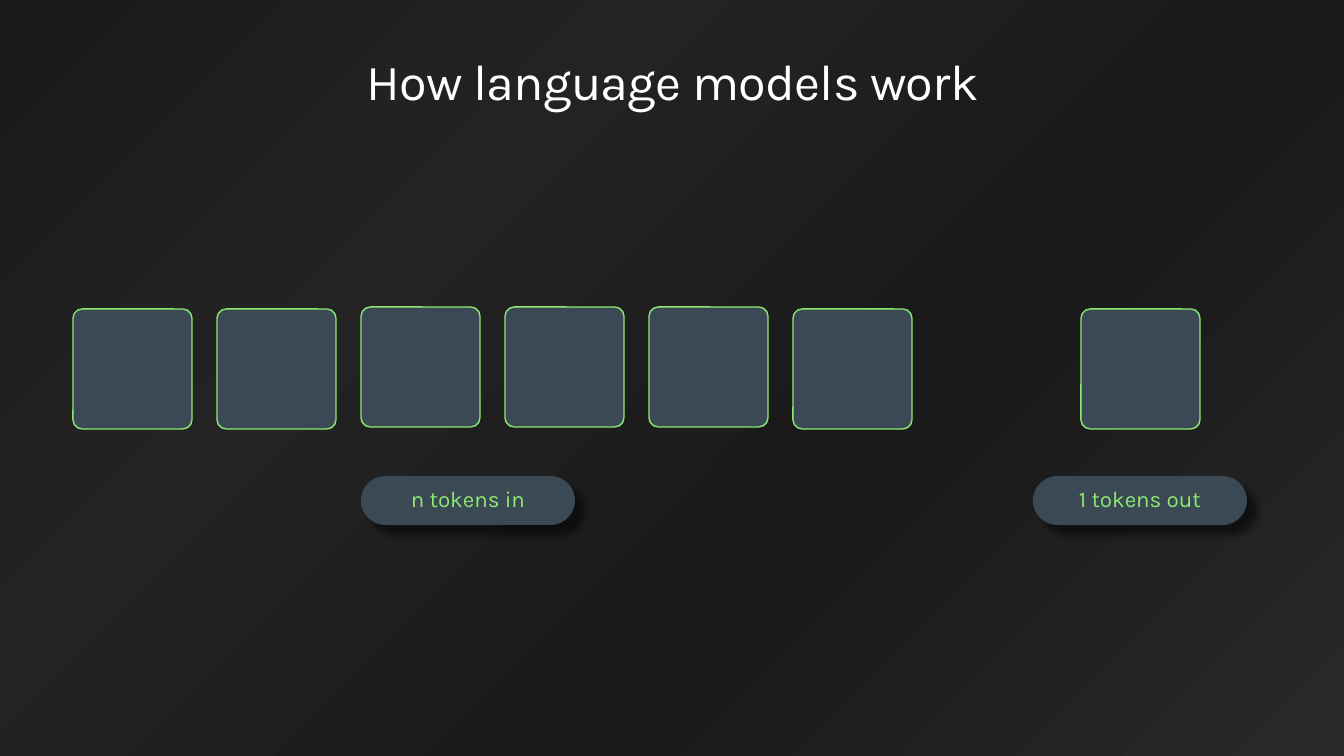
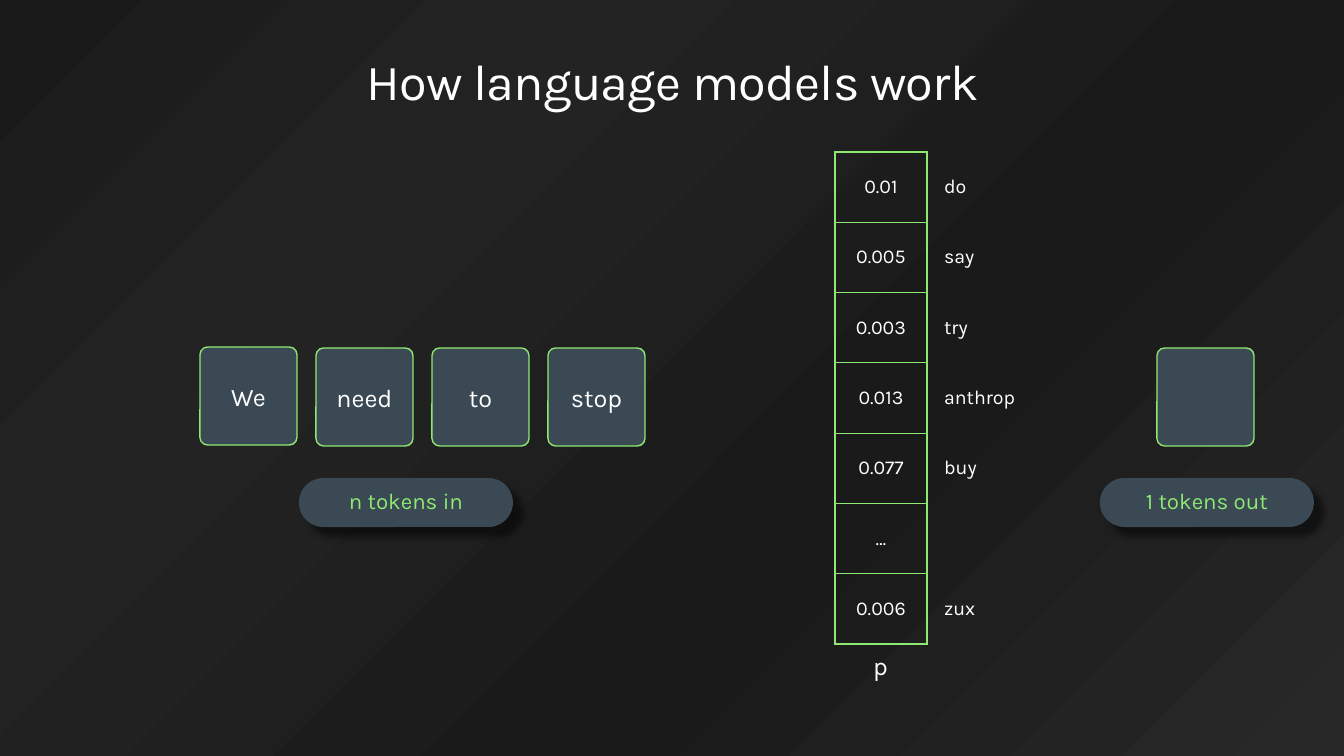
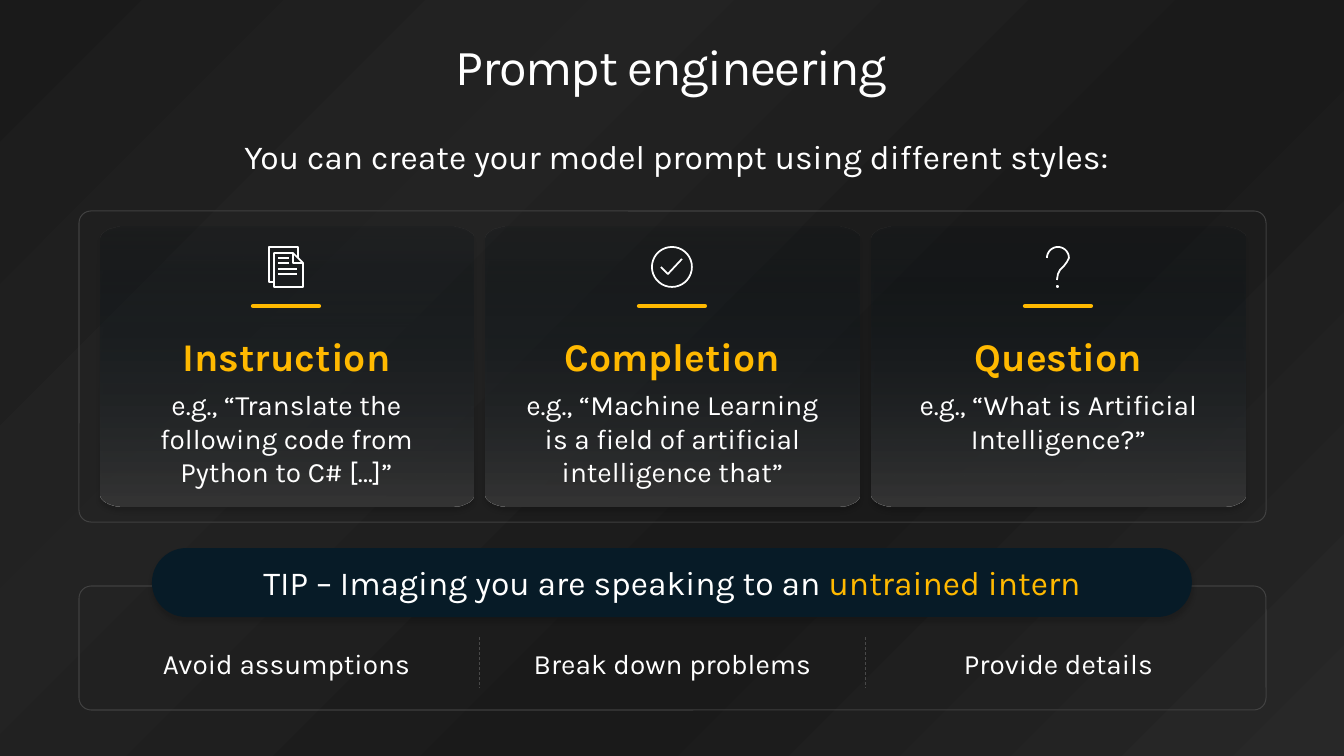
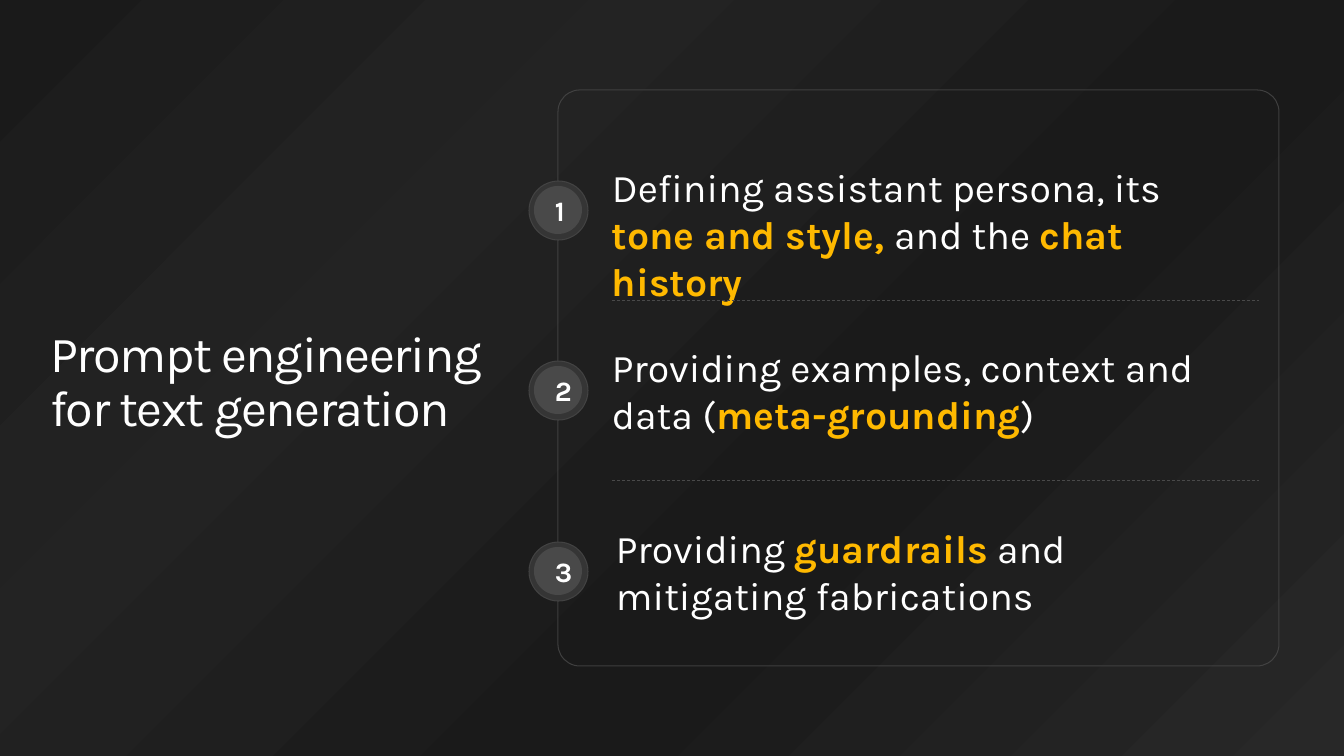
from copy import deepcopy
from math import cos, radians, sin

from lxml import etree
from pptx import Presentation
from pptx.dml.color import RGBColor
from pptx.enum.dml import MSO_LINE
from pptx.enum.shapes import MSO_CONNECTOR, MSO_SHAPE
from pptx.enum.text import MSO_ANCHOR, PP_ALIGN
from pptx.oxml import parse_xml
from pptx.oxml.ns import nsdecls, qn
from pptx.util import Emu, Pt

PX = 12192000 / 1344
ROUNDED, OVAL, LINE = MSO_SHAPE.ROUNDED_RECTANGLE, MSO_SHAPE.OVAL, MSO_CONNECTOR.STRAIGHT
SOLID, DASH = MSO_LINE.SOLID, MSO_LINE.DASH
TOP, MIDDLE = MSO_ANCHOR.TOP, MSO_ANCHOR.MIDDLE
LEFT, CENTER = PP_ALIGN.LEFT, PP_ALIGN.CENTER
TITLE_ONLY = 5


class Theme:
    font = "Karla"
    slate, green, navy = "3A4954", "8DE971", "071B27"
    white, amber, grey, charcoal = "FFFFFF", "FFB900", "494949", "353535"
    # Text looks: size, colour, bold
    title = (36, white, False)
    heading = (28, amber, True)
    point, point_key = (28, white, False), (28, amber, True)
    lead, lead_key = (24, white, False), (24, amber, False)
    body, number = (20, white, False), (20, white, True)
    token, pill, cell = (18, white, False), (16, green, False), (14, white, False)
    # Lines: colour, points, dash, opacity in percent
    token_edge = (green, 1, SOLID, 100)
    frame = (grey, 0.75, SOLID, 80)
    divider = (grey, 0.5, DASH, 100)
    icon = (white, 1.25, SOLID, 100)
    accent = (amber, 3, SOLID, 100)
    # Shadows: opacity in percent, blur and distance in points, direction
    pill_shadow, soft_shadow = (50, 5, 10, 45), (15, 3, 3, 90)
    # Gradients: angle, then position, colour and opacity of each stop
    backdrop = (45, [(0, "1A1A1A", 100), (27, "222222", 100), (28, "232323", 100),
                     (63, "1A1A1A", 100), (100, "282828", 100)])
    card = (90, [(0, "040F16", 10), (100, charcoal, 100)])


def place(slide, outline, box, fill=None, line=None, shadow=None, corner=None):
    """Add a text box (None), line, preset shape or list of contours, in px."""
    shapes = slide.shapes
    x, y, w, h = (Emu(round(n * PX)) for n in box)
    if outline is None:
        shape = shapes.add_textbox(x, y, w, h)
    elif outline == LINE:
        shape = shapes.add_connector(LINE, x, y, x + w, y + h)
    elif isinstance(outline, list):
        contours = [[(x + px * PX, y + py * PX) for px, py in c] for c in outline]
        builder = shapes.build_freeform(*contours[0][0])
        for first, *others in contours:
            builder.move_to(*first)
            builder.add_line_segments(others, close=False)
        shape = builder.convert_to_shape()
    else:
        shape = shapes.add_shape(outline, x, y, w, h)
    properties = shape._element.spPr

    if line:
        colour, width, dash, opacity = line
        shape.line.color.rgb = RGBColor.from_string(colour)
        shape.line.width = Pt(width)
        shape.line.dash_style = dash
        if opacity < 100:
            ink = properties.find(".//" + qn("a:ln") + "//" + qn("a:srgbClr"))
            etree.SubElement(ink, qn("a:alpha"), val=str(opacity * 1000))
    else:
        shape.line.fill.background()
    if outline == LINE:
        etree.SubElement(properties, qn("a:effectLst"))
        return shape

    if fill is None:
        shape.fill.background()
    elif isinstance(fill, str):
        shape.fill.solid()
        shape.fill.fore_color.rgb = RGBColor.from_string(fill)
    else:
        shape.fill.gradient()
        properties.replace(properties.find(qn("a:gradFill")), deepcopy(fill))
    if corner:
        shape.adjustments[0] = corner
    shape.shadow.inherit = False
    if shadow:
        opacity, blur, distance, direction = shadow
        properties.find(qn("a:effectLst")).append(parse_xml(
            f'<a:outerShdw {nsdecls("a")} blurRad="{Pt(blur)}" dist="{Pt(distance)}" '
            f'dir="{direction * 60000}" algn="ctr" rotWithShape="0"><a:srgbClr val="000000">'
            f'<a:alpha val="{opacity * 1000}"/></a:srgbClr></a:outerShdw>'))
    return shape


def write(frame, paragraphs, align=CENTER, anchor=TOP, inset=(0, 0), tracking=0, **layout):
    """Write paragraphs, each a list of (text, look) runs; inset is in px."""
    across, down = (Emu(round(n * PX)) for n in inset)
    settings = {"word_wrap": True, "vertical_anchor": anchor,
                "margin_left": across, "margin_right": across,
                "margin_top": down, "margin_bottom": down}
    for name, value in settings.items():
        setattr(frame, name, value)
    for index, runs in enumerate(paragraphs):
        paragraph = frame.add_paragraph() if index else frame.paragraphs[0]
        for name, value in {"alignment": align, **layout}.items():
            setattr(paragraph, name, value)
        for text, (size, colour, bold) in runs:
            run = paragraph.add_run()
            run.text = text
            for name, value in {"name": Theme.font, "size": Pt(size), "bold": bold}.items():
                setattr(run.font, name, value)
            run.font.color.rgb = RGBColor.from_string(colour)
            if tracking:
                run._r.get_or_add_rPr().set("spc", str(tracking))


# Gradients
gradients = {}
for name, (angle, stops) in {"backdrop": Theme.backdrop, "card": Theme.card}.items():
    marks = "".join(
        f'<a:gs pos="{at * 1000}"><a:srgbClr val="{colour}"><a:alpha val="{opacity * 1000}"/>'
        f'</a:srgbClr></a:gs>' for at, colour, opacity in stops)
    gradients[name] = parse_xml(
        f'<a:gradFill {nsdecls("a")} rotWithShape="1"><a:gsLst>{marks}</a:gsLst>'
        f'<a:lin ang="{angle * 60000}" scaled="0"/></a:gradFill>')

# Presentation and shared background
prs = Presentation()
prs.slide_width, prs.slide_height = Emu(round(1344 * PX)), Emu(round(756 * PX))
master = prs.slide_master
master.background.fill.gradient()
plain = master._element.find(".//" + qn("p:bgPr") + "/" + qn("a:gradFill"))
plain.getparent().replace(plain, gradients["backdrop"])

# Slides with their titles
MODEL_TITLE = ("How language models work", (65, 50, 1215, 61),
               {"tracking": -50, "line_spacing": 1.0})
titles = [
    MODEL_TITLE,
    MODEL_TITLE,
    ("Prompt engineering", (50, 32, 1243, 99),
     {"tracking": -100, "line_spacing": 0.9, "inset": (0, 10)}),
    ("Prompt engineering for text generation", (50, 32, 450, 702),
     {"tracking": -100, "line_spacing": 0.9, "inset": (0, 10),
      "align": LEFT, "anchor": MIDDLE}),
]
slides = []
for text, box, style in titles:
    slide = prs.slides.add_slide(prs.slide_layouts[TITLE_ONLY])
    title = slide.shapes.title
    for name, value in zip(("left", "top", "width", "height"), box):
        setattr(title, name, Emu(round(value * PX)))
    write(title.text_frame, [[(text, Theme.title)]], **style)
    slides.append(slide)
tokens_slide, odds_slide, styles_slide, steps_slide = slides

# Slides 1 and 2: tokens
tokens = [(tokens_slide, (73 + 144 * i, top, 119, 120), "")
          for i, top in enumerate((309, 309, 307, 307, 307, 309))]
tokens.append((tokens_slide, (1081, 309, 119, 120), ""))
tokens += [(odds_slide, (200 + 116 * i, 348 if i else 347, 97, 98), word)
           for i, word in enumerate(("We", "need", "to", "stop"))]
tokens.append((odds_slide, (1157, 348, 97, 98), ""))
for slide, box, word in tokens:
    token = place(slide, ROUNDED, box, Theme.slate, Theme.token_edge, corner=0.078)
    if word:
        write(token.text_frame, [[(word, Theme.token)]], anchor=MIDDLE, inset=(10, 5))

# Slides 1 and 2: pills under the tokens
for slide, left, top, text in [
    (tokens_slide, 361, 476, "n tokens in"),
    (tokens_slide, 1033, 476, "1 tokens out"),
    (odds_slide, 299, 478, "n tokens in"),
    (odds_slide, 1100, 478, "1 tokens out"),
]:
    pill = place(slide, ROUNDED, (left, top, 214, 49), Theme.slate,
                 shadow=Theme.pill_shadow, corner=0.5)
    write(pill.text_frame, [[(text, Theme.pill)]], anchor=MIDDLE, inset=(12, 0),
          line_spacing=0.9)

# Slide 2: probabilities and their words
odds = ["0.01", "0.005", "0.003", "0.013", "0.077", "…", "0.006"]
words = ["do", "say", "try", "anthrop", "buy", "", "zux"]
border = f'<a:solidFill><a:srgbClr val="{Theme.green}"/></a:solidFill>'
for left, entries, align, edge in [(835, odds, CENTER, border),
                                   (934, words, LEFT, "<a:noFill/>")]:
    table = odds_slide.shapes.add_table(
        len(entries), 1, *(Emu(round(n * PX)) for n in (left, 152, 92, 492))).table
    for name in ("first_row", "horz_banding"):
        setattr(table, name, False)
    for row, entry in enumerate(entries):
        cell = table.cell(row, 0)
        cell.fill.background()
        cell.vertical_anchor = MIDDLE
        if align == LEFT:
            cell.margin_right = 0
        for index, side in enumerate(("lnL", "lnR", "lnT", "lnB")):
            cell._tc.get_or_add_tcPr().insert(index, parse_xml(
                f'<a:{side} {nsdecls("a")} w="{Pt(1)}">{edge}</a:{side}>'))
        if entry:
            paragraph = cell.text_frame.paragraphs[0]
            paragraph.alignment = align
            run = paragraph.add_run()
            run.text = entry
            size, colour, bold = Theme.cell
            for name, value in {"name": Theme.font, "size": Pt(size), "bold": bold}.items():
                setattr(run.font, name, value)
            run.font.color.rgb = RGBColor.from_string(colour)
symbol = place(odds_slide, None, (863, 645, 35, 40))
write(symbol.text_frame, [[("p", Theme.token)]], inset=(10, 5))

# Slide 3: lead and frames
lead = place(styles_slide, None, (81, 136, 1191, 40))
write(lead.text_frame,
      [[("You can create your model prompt using different styles:", Theme.lead)]])
for box, corner in [((79, 586, 1187, 124), 0.098), ((79, 211, 1187, 311), 0.038)]:
    place(styles_slide, ROUNDED, box, line=Theme.frame, corner=corner)

# Slide 3: outlines of the cards and icons
CARD_W, CARD_H, CARD_STEP = 373, 280, 386
card_outline = []
for start, cx, cy in [(270, CARD_W - 24, 12), (0, CARD_W - 24, CARD_H - 12),
                      (90, 24, CARD_H - 12), (180, 24, 12)]:
    card_outline += [(cx + 24 * cos(radians(a)), cy + 12 * sin(radians(a)))
                     for a in range(start, start + 91, 10)]
card_outline.append(card_outline[0])
pages = [
    [(5, 35), (0, 35), (0, 0), (29, 0), (29, 11)],
    [(24, 6), (24, 16), (34, 16)],
    [(34, 16), (24, 6), (5, 6), (5, 40), (34, 40), (34, 16)],
    *([(9, y), (end, y)] for y, end in ((27, 28), (22, 28), (16, 20), (11, 20))),
]
check = [
    [(20 + 20 * cos(radians(a)), 20 + 20 * sin(radians(a))) for a in range(0, 361, 10)],
    [(9, 20), (16, 27), (30, 12)],
]
question = [
    [(11 + 11 * cos(radians(a)), 11 + 11 * sin(radians(a))) for a in range(180, 361, 10)]
    + [(20, 15), (17, 19), (13, 23), (11, 27), (10, 33)],
    [(10, 40), (11, 40), (11, 39), (10, 39), (10, 40)],
]

# Slide 3: three styles, each above one piece of advice
styles = [
    (pages, 34, "Instruction",
     "e.g., “Translate the following code from Python to C# […]”", "Avoid assumptions"),
    (check, 40, "Completion",
     "e.g., “Machine Learning is a field of artificial intelligence that”",
     "Break down problems"),
    (question, 22, "Question",
     "e.g., “What is Artificial Intelligence?”", "Provide details"),
]
for column, (icon, icon_width, heading, example, advice) in enumerate(styles):
    left = 100 + CARD_STEP * column
    middle = left + CARD_W // 2
    place(styles_slide, [card_outline], (left, 227, CARD_W, CARD_H), gradients["card"],
          shadow=Theme.soft_shadow)
    place(styles_slide, icon, (middle - icon_width // 2, 247, icon_width, 40),
          line=Theme.icon)
    accent = place(styles_slide, LINE, (middle - 33, 306, 66, 0), line=Theme.accent)
    accent._element.spPr.find(qn("a:ln")).set("cap", "rnd")
    description = place(styles_slide, None, (left + 34, 332, 305, 158))
    write(description.text_frame, [[(heading, Theme.heading)], [(example, Theme.body)]],
          space_after=Pt(6))
    tip = place(styles_slide, None, (left, 633, CARD_W, 60))
    write(tip.text_frame, [[(advice, Theme.body)]], anchor=MIDDLE, inset=(20, 16))
    if column < len(styles) - 1:
        place(styles_slide, LINE, (left + CARD_W + 6, 637, 0, 51), line=Theme.divider)

# Slide 3: tip banner
banner = place(styles_slide, ROUNDED, (152, 548, 1040, 69), Theme.navy,
               shadow=Theme.soft_shadow, corner=0.5)
write(banner.text_frame,
      [[("TIP – Imaging you are speaking to an ", Theme.lead),
        ("untrained intern", Theme.lead_key)]], anchor=MIDDLE, inset=(10, 5))

# Slide 4: numbered steps
place(steps_slide, ROUNDED, (558, 90, 721, 576), line=Theme.frame, corner=0.038)
steps = [
    (612, [("Defining assistant persona, its ", Theme.point),
           ("tone and style, ", Theme.point_key), ("and the ", Theme.point),
           ("chat history", Theme.point_key)]),
    (612, [("Providing examples, context and data (", Theme.point),
           ("meta-grounding", Theme.point_key), (")", Theme.point)]),
    (616, [("Providing ", Theme.point), ("guardrails", Theme.point_key),
           (" and mitigating fabrications", Theme.point)]),
]
for index, (left, runs) in enumerate(steps):
    top = 181 + 361 * index // 2
    place(steps_slide, OVAL, (529, top, 59, 59), Theme.charcoal, Theme.frame)
    number = place(steps_slide, OVAL, (534, top + 5, 48, 48), Theme.grey)
    write(number.text_frame, [[(str(index + 1), Theme.number)]], anchor=MIDDLE,
          inset=(20, 16))
    step = place(steps_slide, None, (left, top - 18, 618, 95))
    write(step.text_frame, [runs], align=LEFT)
    if index < len(steps) - 1:
        place(steps_slide, LINE, (612, top + 119, 647, 0), line=Theme.divider)

prs.save("out.pptx")
